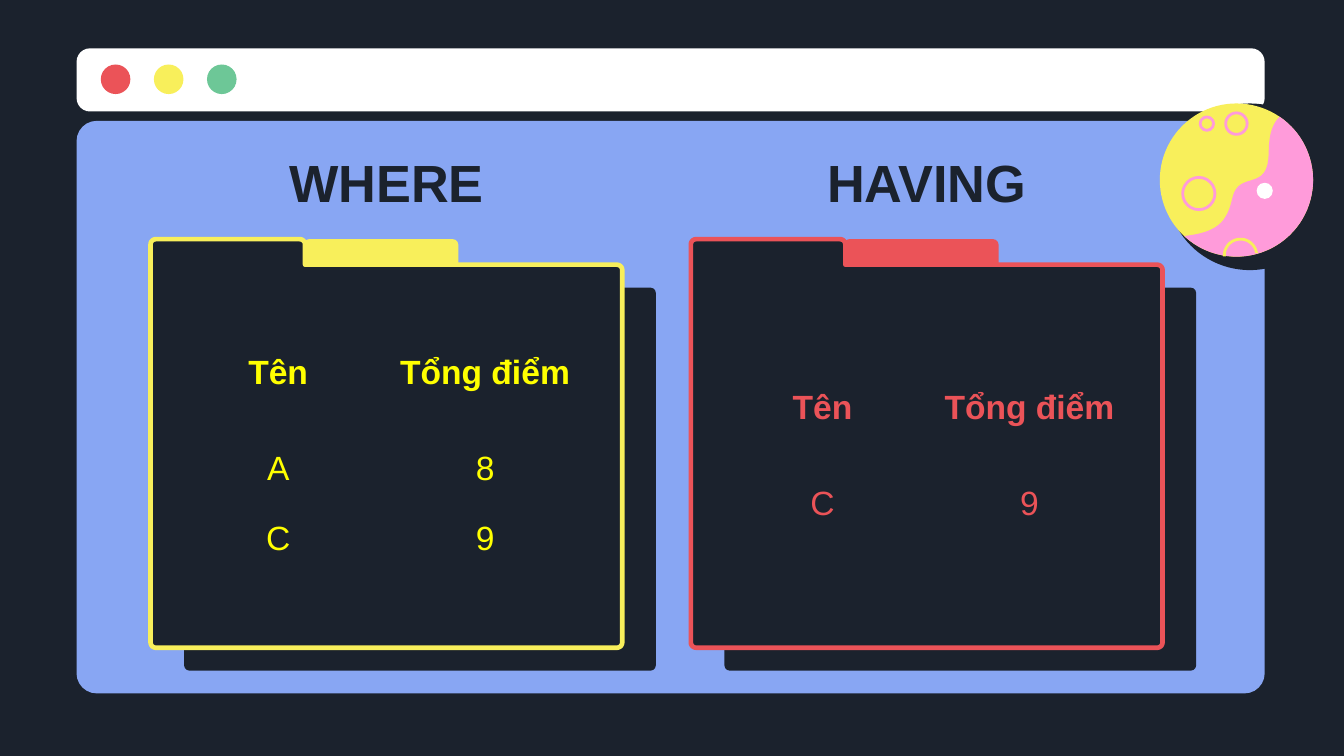
import math

from lxml import etree
from pptx import Presentation
from pptx import util as u
from pptx.dml.color import RGBColor
from pptx.enum import shapes, text
from pptx.oxml import ns

COLORS = {
    "navy": "1B222D",
    "blue": "88A6F3",
    "white": "FFFFFF",
    "red": "EB5358",
    "yellow": "F8EF5B",
    "green": "6DC797",
    "pink": "FF9BDA",
    "bright_yellow": "FFFF00",
}
FONT = "Arial"
OVAL = shapes.MSO_SHAPE.OVAL
ROUNDED = shapes.MSO_SHAPE.ROUNDED_RECTANGLE


def color(name):
    return RGBColor.from_string(COLORS[name])


def paint(shape, fill=None, line=None, line_width=1.5):
    shape.shadow.inherit = False
    if fill:
        shape.fill.solid()
        shape.fill.fore_color.rgb = color(fill)
    else:
        shape.fill.background()
    if line:
        shape.line.color.rgb = color(line)
        shape.line.width = u.Pt(line_width)
    else:
        shape.line.fill.background()


def add_rounded(slide, left, top, width, height, radius, fill):
    shape = slide.shapes.add_shape(
        ROUNDED, u.Inches(left), u.Inches(top), u.Inches(width), u.Inches(height)
    )
    shape.adjustments[0] = radius / min(width, height)
    paint(shape, fill)


def add_circle(slide, center_x, center_y, radius, fill=None, line=None):
    shape = slide.shapes.add_shape(
        OVAL,
        u.Inches(center_x - radius),
        u.Inches(center_y - radius),
        u.Inches(2 * radius),
        u.Inches(2 * radius),
    )
    paint(shape, fill, line)


def add_outline(slide, points, close=True, **look):
    corners = [(u.Inches(x), u.Inches(y)) for x, y in points]
    builder = slide.shapes.build_freeform(*corners[0])
    builder.add_line_segments(corners[1:], close=close)
    paint(builder.convert_to_shape(), **look)


def arc_points(center_x, center_y, radius, start, end, steps=48):
    angles = [math.radians(start + (end - start) * i / steps) for i in range(steps + 1)]
    return [(center_x + radius * math.cos(a), center_y + radius * math.sin(a)) for a in angles]


def curve_points(p0, p1, p2, p3, steps=16):
    points = []
    for i in range(1, steps + 1):
        t = i / steps
        weights = ((1 - t) ** 3, 3 * t * (1 - t) ** 2, 3 * t * t * (1 - t), t ** 3)
        points.append(tuple(
            sum(w * p[axis] for w, p in zip(weights, (p0, p1, p2, p3))) for axis in (0, 1)
        ))
    return points


def add_window(slide, left, top, width, height):
    bar_height = 0.47
    body_offset = 0.54
    add_rounded(
        slide, left, top + body_offset, width, height - body_offset, 0.15, "blue"
    )
    add_rounded(slide, left, top, width, bar_height, 0.1, "white")
    for index, name in enumerate(("red", "yellow", "green")):
        add_circle(slide, left + 0.29 + 0.79 * index / 2, top + 0.23, 0.11, name)


def add_planet(slide, left, top, radius):
    center_x, center_y = left + radius, top + radius

    def at(x, y):
        return center_x + x, center_y + y

    add_circle(slide, *at(0.1, 0.05), 0.62, "navy")
    add_circle(slide, center_x, center_y, radius, "yellow")
    for x, y, ring_radius in ((0, -0.42, 0.08), (-0.22, -0.42, 0.05), (-0.28, 0.1, 0.12)):
        add_circle(slide, *at(x, y), ring_radius, line="pink")
    land = arc_points(center_x, center_y, radius, -56, 133)
    for bend in (
        ((-0.15, 0.39), (-0.07, 0.32), (-0.03, 0.13)),
        ((0.02, -0.08), (0.24, 0.1), (0.24, -0.21)),
        ((0.24, -0.36), (0.28, -0.43), (0.32, -0.47)),
    ):
        land += curve_points(land[-1], *(at(x, y) for x, y in bend))
    add_outline(slide, land, fill="pink")
    add_outline(
        slide, arc_points(*at(0.03, 0.56), 0.12, 176, 352), close=False, line="yellow"
    )
    add_circle(slide, *at(0.21, 0.08), 0.06, "white")


def add_folder(slide, left, top, width, height, accent):
    tab_width, tab_height, radius = 1.15, 0.19, 0.04
    add_rounded(slide, left + 0.25, top + 0.36, width, height - tab_height, radius, "navy")
    add_rounded(slide, left + tab_width - 0.01, top, tab_width, 0.36, radius, accent)
    right, bottom = left + width, top + height
    tab_right, body_top = left + tab_width, top + tab_height
    outline = [(tab_right, body_top)]
    for corner_x, corner_y, start in (
        (right - radius, body_top + radius, -90),
        (right - radius, bottom - radius, 0),
        (left + radius, bottom - radius, 90),
        (left + radius, top + radius, 180),
        (tab_right - radius, top + radius, 270),
    ):
        outline += arc_points(corner_x, corner_y, radius, start, start + 90, 6)
    add_outline(slide, outline, fill="navy", line=accent, line_width=2.5)


def add_heading(slide, left, top, width, height, wording):
    box = slide.shapes.add_textbox(
        u.Inches(left), u.Inches(top), u.Inches(width), u.Inches(height)
    )
    frame = box.text_frame
    frame.word_wrap = True
    frame.vertical_anchor = text.MSO_ANCHOR.MIDDLE
    frame.margin_left = frame.margin_right = u.Inches(0.1)
    frame.margin_top = frame.margin_bottom = u.Inches(0.1)
    set_text(frame, wording, 28, "navy", True)


def set_text(frame, wording, size, color_name, bold):
    paragraph = frame.paragraphs[0]
    paragraph.text = wording
    paragraph.alignment = text.PP_ALIGN.CENTER
    paragraph.font.name = FONT
    paragraph.font.size = u.Pt(size)
    paragraph.font.bold = bold
    paragraph.font.color.rgb = color(color_name)


def add_scores(slide, left, top, width, rows, color_name):
    heights = [0.91] + [0.52] * (len(rows) - 1)
    table = slide.shapes.add_table(
        len(rows), 2, u.Inches(left), u.Inches(top), u.Inches(width), u.Inches(sum(heights))
    ).table
    table.first_row = table.horz_banding = False
    for row_index, (row, height) in enumerate(zip(rows, heights)):
        table.rows[row_index].height = u.Inches(height)
        for column_index, wording in enumerate(row):
            cell = table.cell(row_index, column_index)
            properties = cell._tc.get_or_add_tcPr()
            for side in ("a:lnL", "a:lnR", "a:lnT", "a:lnB"):
                border = etree.SubElement(properties, ns.qn(side))
                etree.SubElement(border, ns.qn("a:noFill"))
            cell.fill.background()
            cell.vertical_anchor = text.MSO_ANCHOR.MIDDLE
            set_text(cell.text_frame, wording, 18, color_name, row_index == 0)


def main():
    presentation = Presentation()
    presentation.slide_width = u.Inches(10)
    presentation.slide_height = presentation.slide_width * 9 // 16
    slide = presentation.slides.add_slide(presentation.slide_layouts[6])
    slide.background.fill.solid()
    slide.background.fill.fore_color.rgb = color("navy")

    add_window(slide, 0.57, 0.36, 8.84, 4.8)
    add_planet(slide, 8.63, 0.77, 0.57)
    header = ("Tên", "Tổng điểm")
    for left, heading, accent in ((1.12, "WHERE", "yellow"), (5.14, "HAVING", "red")):
        add_folder(slide, left, 1.78, 3.51, 3.04, accent)
        add_heading(slide, left + 0.89, 1.04, 1.73, 0.62, heading)
    add_scores(slide, 1.3, 2.32, 3.08, [header, ("A", "8"), ("C", "9")], "bright_yellow")
    add_scores(slide, 5.35, 2.58, 3.08, [header, ("C", "9")], "red")
    presentation.save("out.pptx")


if __name__ == "__main__":
    main()
